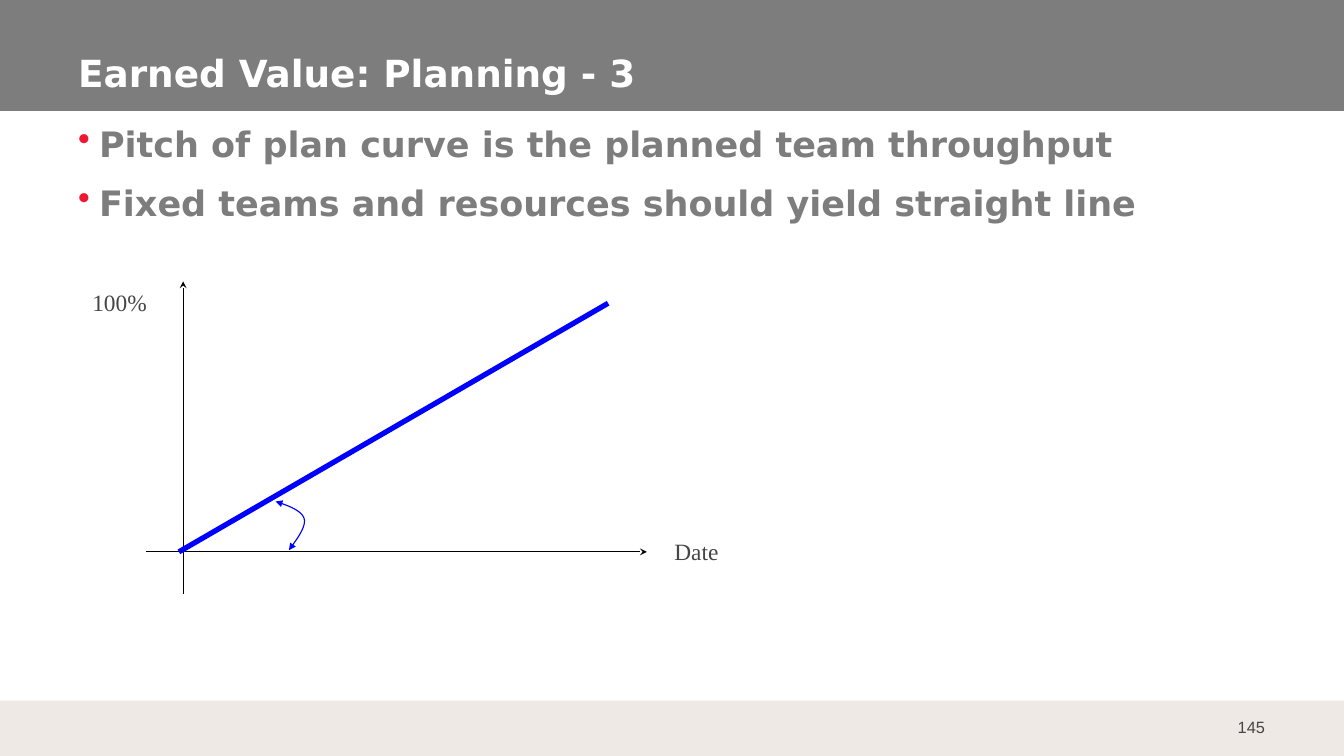
from lxml import etree
from pptx import Presentation, util as u
from pptx.dml.color import RGBColor
from pptx.enum import shapes, text
from pptx.oxml.ns import qn

COLUMNS, ROWS = 16, 9
GREY, SAND, RED, BLUE = "7D7D7D", "EFE9E5", "ED1933", "0000FF"
BLACK, WHITE, DARK = "000000", "FFFFFF", "464646"
HEADING, NUMBER, LABEL = "DejaVu Sans", "Arial", "Times New Roman"
WIDE, NARROW = (0.14, 0.07), (0.1, 0.05)


def rgb(value):
    return RGBColor.from_string(value)


def bezier(start, control1, control2, end, steps=12):
    for step in range(1, steps + 1):
        t = step / steps
        weights = ((1 - t) ** 3, 3 * t * (1 - t) ** 2, 3 * t ** 2 * (1 - t), t ** 3)
        points = (start, control1, control2, end)
        yield tuple(sum(w * p[axis] for w, p in zip(weights, points)) for axis in (0, 1))


class SlideBuilder:
    """Draw styled elements on a slide measured in columns and rows."""

    def __init__(self, presentation):
        self.slide = presentation.slides.add_slide(presentation.slide_layouts[6])
        self.shapes = self.slide.shapes
        self.column = presentation.slide_width / COLUMNS
        self.row = presentation.slide_height / ROWS

    def place(self, x, y):
        return round(x * self.column), round(y * self.row)

    def band(self, top, height, color):
        shape = self.shapes.add_shape(
            shapes.MSO_SHAPE.RECTANGLE, *self.place(0, top), *self.place(COLUMNS, height))
        shape.shadow.inherit = False
        shape.fill.solid()
        shape.fill.fore_color.rgb = rgb(color)
        shape.line.fill.background()

    def text(self, box, lines, font, size, color, bold=False, bullet=None, gap=0,
             inset=NARROW, anchor=text.MSO_ANCHOR.TOP, align=text.PP_ALIGN.LEFT, wrap=True):
        left, top, width, height = box
        shape = self.shapes.add_textbox(*self.place(left, top), *self.place(width, height))
        frame = shape.text_frame
        frame.word_wrap = wrap
        frame.vertical_anchor = anchor
        frame.margin_left = frame.margin_right = u.Inches(inset[0])
        frame.margin_top = frame.margin_bottom = u.Inches(inset[1])
        frame.text = "\n".join(lines)
        for index, paragraph in enumerate(frame.paragraphs):
            paragraph.alignment = align
            if index:
                paragraph.space_before = u.Pt(gap)
            if bullet:
                self.bullet(paragraph, bullet)
            paragraph.font.name = font
            paragraph.font.size = u.Pt(size)
            paragraph.font.bold = bold
            paragraph.font.color.rgb = rgb(color)

    def bullet(self, paragraph, color):
        properties = paragraph._p.get_or_add_pPr()
        indent = u.Inches(0.25)
        properties.set("marL", str(indent))
        properties.set("indent", str(-indent))
        bullet_color = etree.SubElement(properties, qn("a:buClr"))
        etree.SubElement(bullet_color, qn("a:srgbClr"), val=color)
        etree.SubElement(properties, qn("a:buChar"), char="•")

    def stroke(self, shape, color, width, head=None, tail=None):
        shape.line.color.rgb = rgb(color)
        shape.line.width = u.Pt(width)
        line = shape.line._get_or_add_ln()
        for tag, kind in (("a:headEnd", head), ("a:tailEnd", tail)):
            if kind:
                etree.SubElement(line, qn(tag), type=kind)

    def line(self, start, end, color, width, tail=None):
        connector = self.shapes.add_connector(
            shapes.MSO_CONNECTOR.STRAIGHT, *self.place(*start), *self.place(*end))
        self.stroke(connector, color, width, tail=tail)
        etree.SubElement(connector._element.spPr, qn("a:effectLst"))

    def curve(self, start, segments, color, width, arrow):
        points = [start]
        for segment in segments:
            points.extend(bezier(points[-1], *segment))
        builder = self.shapes.build_freeform(*self.place(*start))
        builder.add_line_segments([self.place(*point) for point in points[1:]], close=False)
        shape = builder.convert_to_shape()
        shape.shadow.inherit = False
        shape.fill.background()
        self.stroke(shape, color, width, head=arrow, tail=arrow)


def main():
    presentation = Presentation()
    presentation.slide_width = u.Inches(16)
    presentation.slide_height = u.Inches(9)
    slide = SlideBuilder(presentation)

    slide.band(0, 1.32, GREY)
    slide.band(8.34, 0.66, SAND)
    slide.text((14.4, 8.42, 0.8, 0.48), ["145"], NUMBER, 14, DARK, inset=WIDE,
               anchor=text.MSO_ANCHOR.MIDDLE, align=text.PP_ALIGN.RIGHT)
    slide.text((0.79, 0.46, 14.21, 0.74), ["Earned Value: Planning - 3"], HEADING, 32, WHITE,
               bold=True, inset=WIDE, anchor=text.MSO_ANCHOR.BOTTOM)
    slide.text((0.79, 1.39, 14.17, 1.52),
               ["Pitch of plan curve is the planned team throughput",
                "Fixed teams and resources should yield straight line"],
               HEADING, 30, GREY, bold=True, bullet=RED, gap=14.3, inset=WIDE)

    axis_x, axis_y = 2.18, 6.57
    slide.line((axis_x, 7.07), (axis_x, 3.35), BLACK, 0.75, tail="stealth")
    slide.line((1.74, axis_y), (7.7, axis_y), BLACK, 0.75, tail="stealth")
    slide.text((7.93, 6.34, 0.97, 0.43), ["Date"], LABEL, 20, DARK, wrap=False)
    slide.text((1, 3.38, 1.59, 0.43), ["100%"], LABEL, 20, DARK)
    slide.line((2.13, axis_y), (7.24, 3.61), BLUE, 4.5)
    slide.curve((3.28, 5.97),
                [((3.44, 6.02), (3.59, 6.08), (3.62, 6.17)),
                 ((3.65, 6.27), (3.54, 6.41), (3.44, 6.55))],
                BLUE, 1, "triangle")
    presentation.save("out.pptx")


if __name__ == "__main__":
    main()
